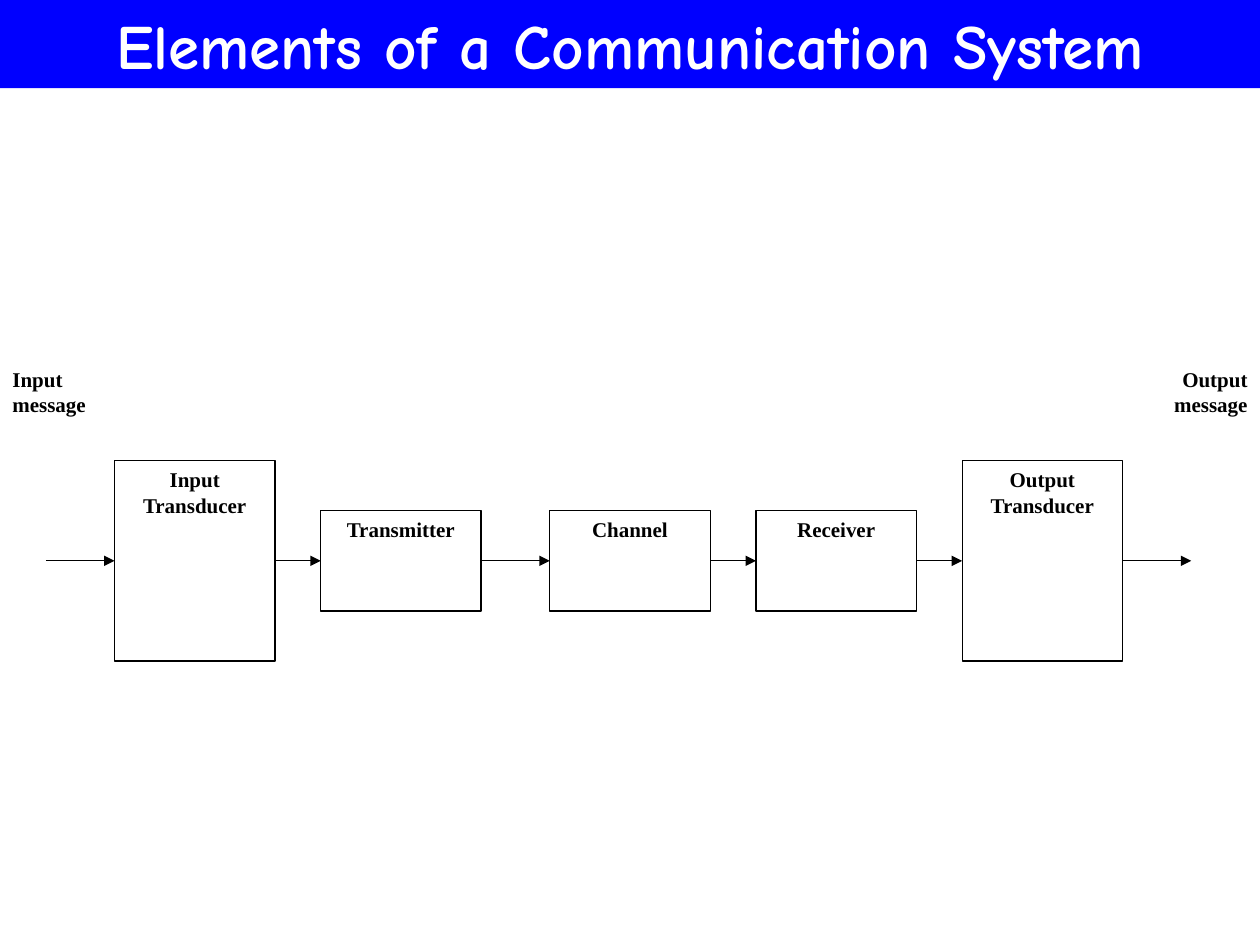
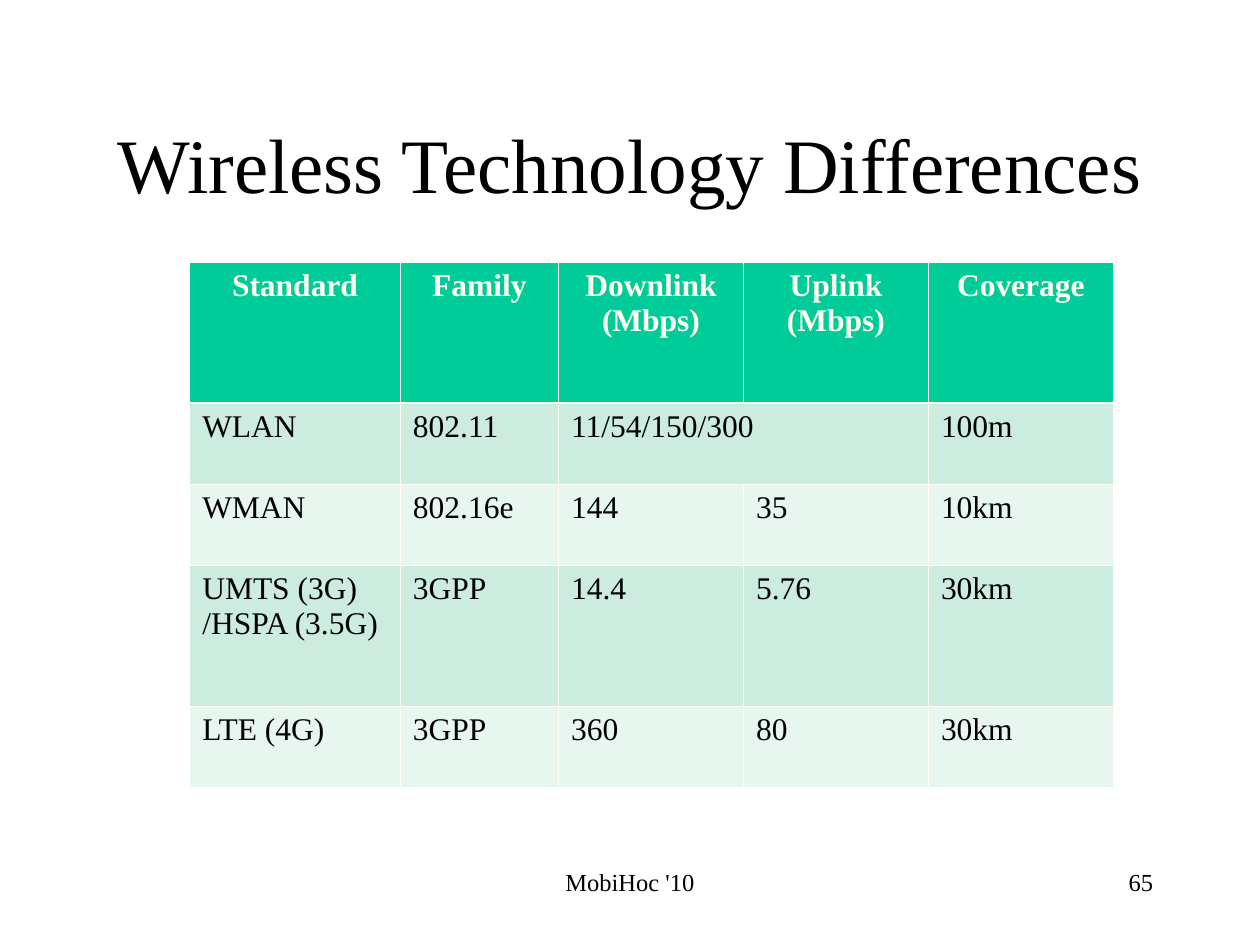
"""Builds two slides: a communication system diagram and a wireless technology table."""
from dataclasses import dataclass
from typing import Optional

from lxml.etree import SubElement
from pptx import Presentation
from pptx.dml.color import RGBColor
from pptx.enum.shapes import MSO_CONNECTOR, MSO_SHAPE
from pptx.enum.text import MSO_ANCHOR, PP_ALIGN
from pptx.oxml.ns import qn
from pptx.shapes.autoshape import Shape
from pptx.slide import Slide
from pptx.table import _Cell
from pptx.text.text import TextFrame
from pptx.util import Pt


@dataclass(frozen=True)
class Style:
    size: float
    color: str = "000000"
    bold: bool = False
    font: str = "Times New Roman"


@dataclass(frozen=True)
class Theme:
    ink: str = "000000"
    paper: str = "FFFFFF"
    banner: str = "0000FF"
    header: str = "00CC99"
    bands: tuple[str, str] = ("CBECDE", "E7F6EF")
    rule: str = "FFFFEF"
    line_width: float = 0.75
    rule_width: float = 0.45
    header_rule_width: float = 1.47
    banner_title: Style = Style(36, "FFFFFF", True, "Comic Neue")
    title: Style = Style(44)
    label: Style = Style(12, bold=True)
    footer: Style = Style(14)
    header_text: Style = Style(18, "FFFFEF", True)
    body_text: Style = Style(18)


@dataclass(frozen=True)
class Box:
    left: float
    top: float
    width: float
    height: float


@dataclass(frozen=True)
class Stage:
    label: str
    column: int
    height: float


@dataclass(frozen=True)
class Caption:
    text: str
    box: Box
    style: Style
    align: PP_ALIGN
    anchor: MSO_ANCHOR = MSO_ANCHOR.TOP


THEME = Theme()
SLIDE_WIDTH, SLIDE_HEIGHT = 720, 540

GRID = SLIDE_WIDTH / 110
STAGE_COLUMNS = 14
MESSAGE_COLUMNS = 12
SIGNAL_AXIS = 320.5
TALL, SHORT = 114.5, 57.25
SIGNAL_START, SIGNAL_END = 4, 104
STAGES = (
    Stage("Input Transducer", 10, TALL),
    Stage("Transmitter", 28, SHORT),
    Stage("Channel", 48, SHORT),
    Stage("Receiver", 66, SHORT),
    Stage("Output Transducer", 84, TALL),
)

CAPTIONS = (
    Caption("Wireless Technology Differences", Box(54, 48, 612, 90), THEME.title,
            PP_ALIGN.CENTER, MSO_ANCHOR.MIDDLE),
    Caption("MobiHoc '10", Box(246, 492, 228, 36), THEME.footer, PP_ALIGN.CENTER),
    Caption("65", Box(516, 492, 150, 36), THEME.footer, PP_ALIGN.RIGHT),
)
COLUMN_WIDTHS = (120.4, 90.4, 105.7, 105.7, 105.7)
ROW_HEIGHTS = (80.2, 46.5, 46.5, 80.2, 46.5)
STANDARDS = (
    ("Standard", "Family", "Downlink\n(Mbps)", "Uplink\n(Mbps)", "Coverage"),
    ("WLAN", "802.11", "11/54/150/300", "", "100m"),
    ("WMAN", "802.16e", "144", "35", "10km"),
    ("UMTS (3G)\n/HSPA (3.5G)", "3GPP", "14.4", "5.76", "30km"),
    ("LTE (4G)", "3GPP", "360", "80", "30km"),
)


def rgb(color: str) -> RGBColor:
    """Turn a hex colour into a colour object."""
    return RGBColor.from_string(color)


def write(frame: TextFrame, text: str, style: Style, align: PP_ALIGN) -> None:
    """Fill a text frame and format all of its runs."""
    frame.text = text
    frame.word_wrap = True
    for paragraph in frame.paragraphs:
        paragraph.alignment = align
        for run in paragraph.runs:
            run.font.name = style.font
            run.font.size = Pt(style.size)
            run.font.bold = style.bold
            run.font.color.rgb = rgb(style.color)


def add_panel(slide: Slide, box: Box, text: str, style: Style, fill: str,
              align: PP_ALIGN = PP_ALIGN.CENTER, outline: Optional[str] = None) -> Shape:
    """Draw a filled rectangle with text at its top."""
    panel = slide.shapes.add_shape(
        MSO_SHAPE.RECTANGLE, Pt(box.left), Pt(box.top), Pt(box.width), Pt(box.height))
    panel.shadow.inherit = False
    panel.fill.solid()
    panel.fill.fore_color.rgb = rgb(fill)
    if outline:
        panel.line.color.rgb = rgb(outline)
        panel.line.width = Pt(THEME.line_width)
    else:
        panel.line.fill.background()
    panel.text_frame.vertical_anchor = MSO_ANCHOR.TOP
    write(panel.text_frame, text, style, align)
    return panel


def add_caption(slide: Slide, caption: Caption) -> None:
    """Draw a text box."""
    box = caption.box
    frame = slide.shapes.add_textbox(
        Pt(box.left), Pt(box.top), Pt(box.width), Pt(box.height)).text_frame
    frame.vertical_anchor = caption.anchor
    write(frame, caption.text, caption.style, caption.align)


def add_signal(slide: Slide, source: Optional[Shape], target: Optional[Shape]) -> None:
    """Draw an arrow along the signal axis, joined to the stages it touches."""
    signal = slide.shapes.add_connector(
        MSO_CONNECTOR.STRAIGHT, Pt(GRID * SIGNAL_START), Pt(SIGNAL_AXIS),
        Pt(GRID * SIGNAL_END), Pt(SIGNAL_AXIS))
    if source is not None:
        signal.begin_connect(source, 3)
    if target is not None:
        signal.end_connect(target, 1)
    signal.line.color.rgb = rgb(THEME.ink)
    signal.line.width = Pt(THEME.line_width)
    SubElement(signal.line._get_or_add_ln(), qn("a:tailEnd"), type="triangle")
    SubElement(signal._element.spPr, qn("a:effectLst"))


def set_borders(cell: _Cell, top: float, bottom: float) -> None:
    """Rule the four sides of a cell."""
    properties = cell._tc.get_or_add_tcPr()
    widths = {"L": THEME.rule_width, "R": THEME.rule_width, "T": top, "B": bottom}
    for side, width in widths.items():
        border = SubElement(properties, qn(f"a:ln{side}"), w=str(Pt(width)))
        fill = SubElement(border, qn("a:solidFill"))
        SubElement(fill, qn("a:srgbClr"), val=THEME.rule)


def add_standards_table(slide: Slide) -> None:
    """Draw the table of wireless standards."""
    table = slide.shapes.add_table(
        len(ROW_HEIGHTS), len(COLUMN_WIDTHS), Pt(108.4), Pt(150),
        Pt(sum(COLUMN_WIDTHS)), Pt(sum(ROW_HEIGHTS))).table
    for column, width in zip(table.columns, COLUMN_WIDTHS):
        column.width = Pt(width)
    for index, (row, height, values) in enumerate(zip(table.rows, ROW_HEIGHTS, STANDARDS)):
        row.height = Pt(height)
        is_header = index == 0
        fill = THEME.header if is_header else THEME.bands[(index - 1) % 2]
        style = THEME.header_text if is_header else THEME.body_text
        align = PP_ALIGN.CENTER if is_header else PP_ALIGN.LEFT
        top = THEME.header_rule_width if index == 1 else THEME.rule_width
        bottom = THEME.header_rule_width if is_header else THEME.rule_width
        for cell, value in zip(row.cells, values):
            set_borders(cell, top, bottom)
            cell.fill.solid()
            cell.fill.fore_color.rgb = rgb(fill)
            write(cell.text_frame, value, style, align)
    table.cell(1, 2).merge(table.cell(1, 3))


def build_system_slide(slide: Slide) -> None:
    """Draw the chain from input message to output message."""
    message_width = GRID * MESSAGE_COLUMNS
    for text, left, align in (
        ("Output message", SLIDE_WIDTH - message_width, PP_ALIGN.RIGHT),
        ("Input message", 0, PP_ALIGN.LEFT),
    ):
        add_panel(slide, Box(left, 206, message_width, TALL), text, THEME.label,
                  THEME.paper, align)
    stages = [
        add_panel(slide, Box(GRID * stage.column, SIGNAL_AXIS - stage.height / 2,
                             GRID * STAGE_COLUMNS, stage.height),
                  stage.label, THEME.label, THEME.paper, outline=THEME.ink)
        for stage in STAGES
    ]
    for source, target in zip([None, *stages], [*stages, None]):
        add_signal(slide, source, target)
    add_panel(slide, Box(0, 0, SLIDE_WIDTH, 50.4), "Elements of a Communication System",
              THEME.banner_title, THEME.banner)


def build_wireless_slide(slide: Slide) -> None:
    """Draw the title, footer and comparison table."""
    for caption in CAPTIONS:
        add_caption(slide, caption)
    add_standards_table(slide)


def main() -> None:
    """Build and save the presentation."""
    presentation = Presentation()
    presentation.slide_width = Pt(SLIDE_WIDTH)
    presentation.slide_height = Pt(SLIDE_HEIGHT)
    blank = presentation.slide_layouts[6]
    for build in (build_system_slide, build_wireless_slide):
        build(presentation.slides.add_slide(blank))
    presentation.save("out.pptx")


if __name__ == "__main__":
    main()
